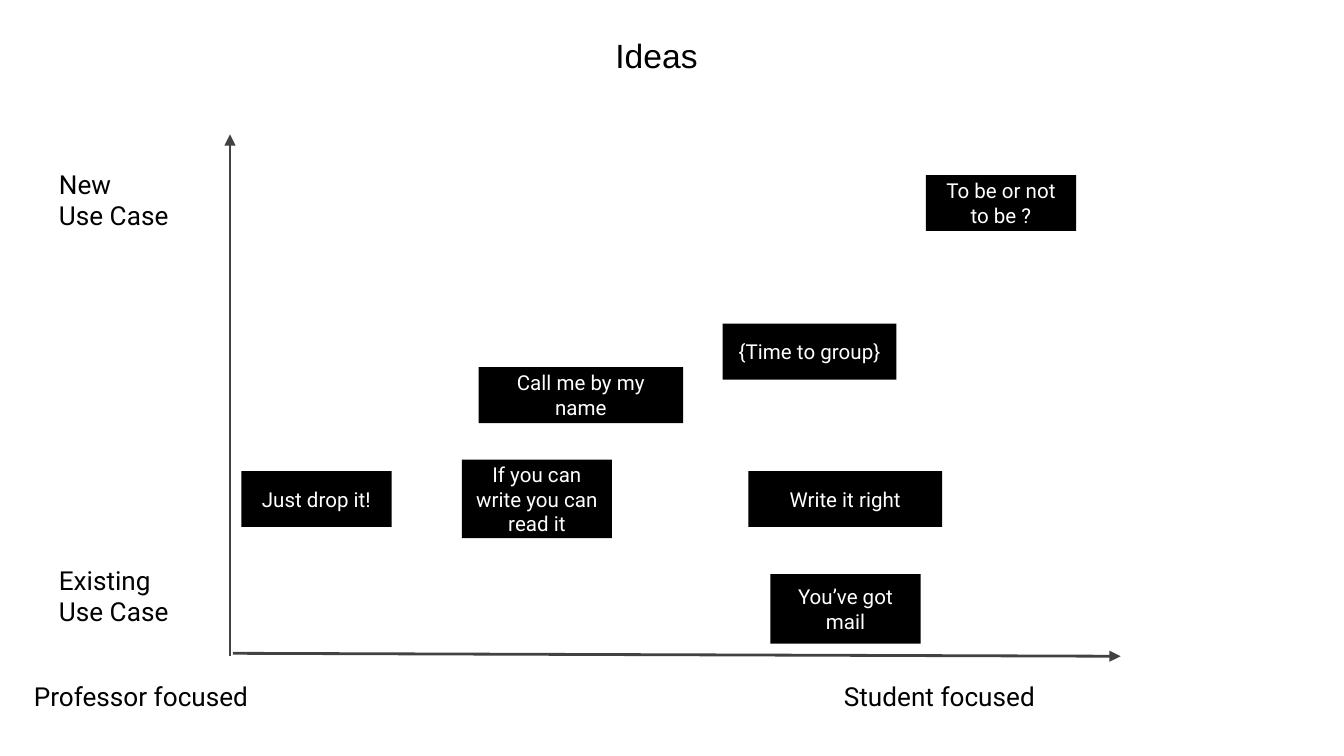
from typing import NamedTuple

from lxml import etree
from pptx import Presentation
from pptx.dml.color import RGBColor
from pptx.enum.shapes import MSO_CONNECTOR, MSO_SHAPE
from pptx.enum.text import MSO_ANCHOR, PP_ALIGN
from pptx.oxml.ns import qn
from pptx.util import Pt

BLACK = RGBColor(0, 0, 0)
WHITE = RGBColor(255, 255, 255)
GREY = RGBColor(0x42, 0x42, 0x42)
RECT = MSO_SHAPE.RECTANGLE
LINE = MSO_CONNECTOR.STRAIGHT
TOP, MIDDLE = MSO_ANCHOR.TOP, MSO_ANCHOR.MIDDLE
LEFT, CENTER = PP_ALIGN.LEFT, PP_ALIGN.CENTER
PAD = Pt(7.2)

TITLE = {"name": "Arial", "size": Pt(18)}
LABEL = {"name": "Roboto", "size": Pt(14)}
CARD = {"name": "Roboto", "size": Pt(11)}


class Item(NamedTuple):
    text: str
    x: float
    y: float
    w: float
    h: float


class Axis(NamedTuple):
    x1: float
    y1: float
    x2: float
    y2: float


HEAD = Item("Ideas", 24.5, 11.5, 671, 45.5)
AXES = [
    Axis(124.8, 350, 600.3, 351.6),
    Axis(123.2, 351.6, 123.2, 72),
]
LABELS = [
    Item("Professor focused", 11, 357.1, 182, 26.6),
    Item("Student focused", 445, 357.1, 182, 26.6),
    Item("Existing\nUse Case", 24.5, 295.2, 93.6, 26.6),
    Item("New\nUse Case", 24.5, 82.8, 93.6, 26.6),
]
CARDS = [
    Item("Call me by my name", 256.4, 196.7, 109.6, 30),
    Item("Write it right", 400.9, 252.4, 103.8, 30),
    Item("Just drop it!", 129.3, 252.4, 80.5, 30),
    Item("{Time to group}", 387.2, 173.4, 93.1, 30),
    Item("You’ve got mail", 412.7, 307.6, 80.5, 37.3),
    Item("To be or not to be ?", 496, 93.8, 80.5, 30),
    Item("If you can write you can read it", 247.4, 246.3, 80.5, 42),
]


def box(item: Item) -> tuple[int, ...]:
    return tuple(Pt(n) for n in item[1:])


def write(shape, text: str, font: dict, color: RGBColor, align=LEFT, anchor=TOP) -> None:
    frame = shape.text_frame
    form = {"word_wrap": True, "vertical_anchor": anchor, "margin_left": PAD,
            "margin_right": PAD, "margin_top": PAD, "margin_bottom": PAD}
    for key, value in form.items():
        setattr(frame, key, value)
    frame.text = text
    for para in frame.paragraphs:
        para.alignment = align
        for run in para.runs:
            for key, value in font.items():
                setattr(run.font, key, value)
            run.font.color.rgb = color


def label(slide, item: Item, font: dict):
    shape = slide.shapes.add_textbox(*box(item))
    write(shape, item.text, font, BLACK)
    return shape


def card(slide, item: Item) -> None:
    shape = slide.shapes.add_shape(RECT, *box(item))
    shape.shadow.inherit = False
    shape.fill.solid()
    shape.fill.fore_color.rgb = BLACK
    shape.line.fill.background()
    write(shape, item.text, CARD, WHITE, CENTER, MIDDLE)


def arrow(slide, axis: Axis) -> None:
    shape = slide.shapes.add_connector(LINE, *(Pt(n) for n in axis))
    shape.line.color.rgb = GREY
    shape.line.width = Pt(1.5)
    props = shape._element.spPr
    etree.SubElement(props.find(qn("a:ln")), qn("a:tailEnd"), type="triangle")
    etree.SubElement(props, qn("a:effectLst"))


deck = Presentation()
deck.slide_width, deck.slide_height = Pt(720), Pt(405)
slide = deck.slides.add_slide(deck.slide_layouts[6])

# Title, indented to the middle
title = label(slide, HEAD, TITLE)
title.text_frame.margin_left = Pt(305.2)

# Axes and their end labels
for axis in AXES:
    arrow(slide, axis)
for item in LABELS:
    label(slide, item, LABEL)

# Idea cards
for item in CARDS:
    card(slide, item)

deck.save("out.pptx")
